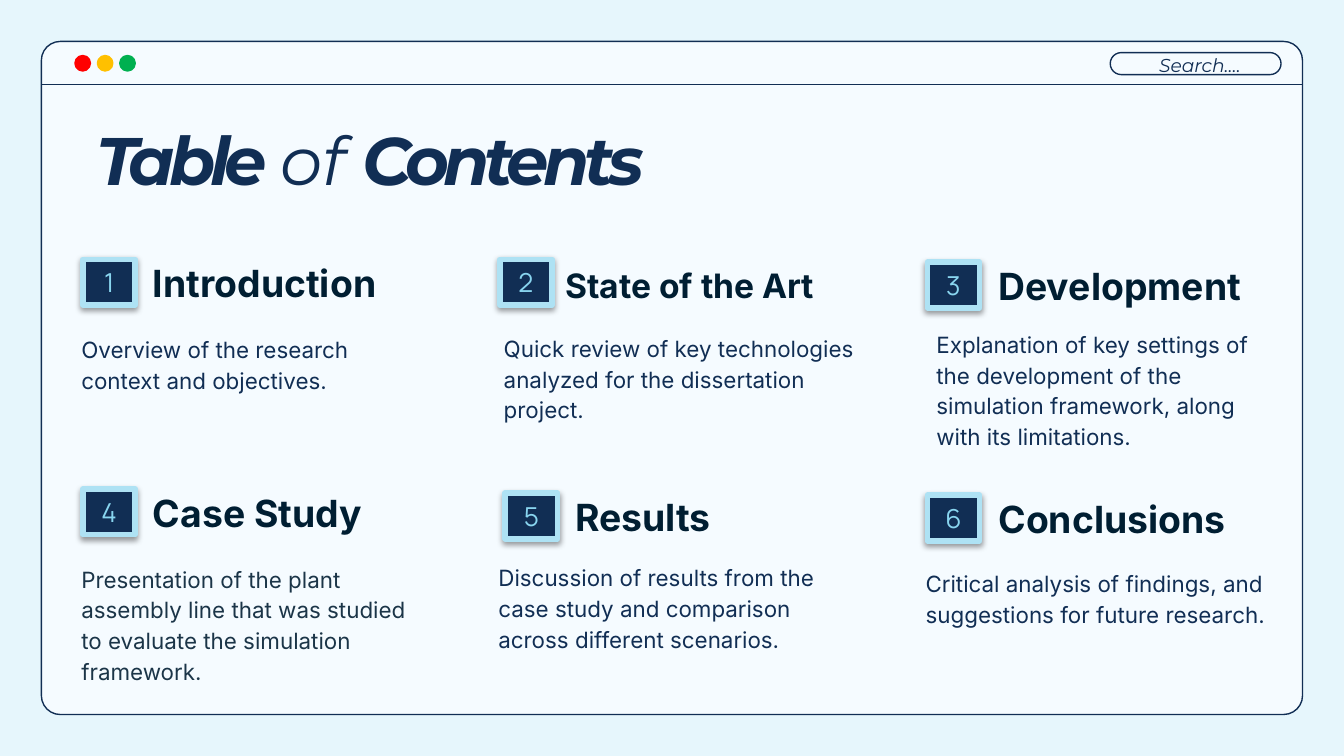
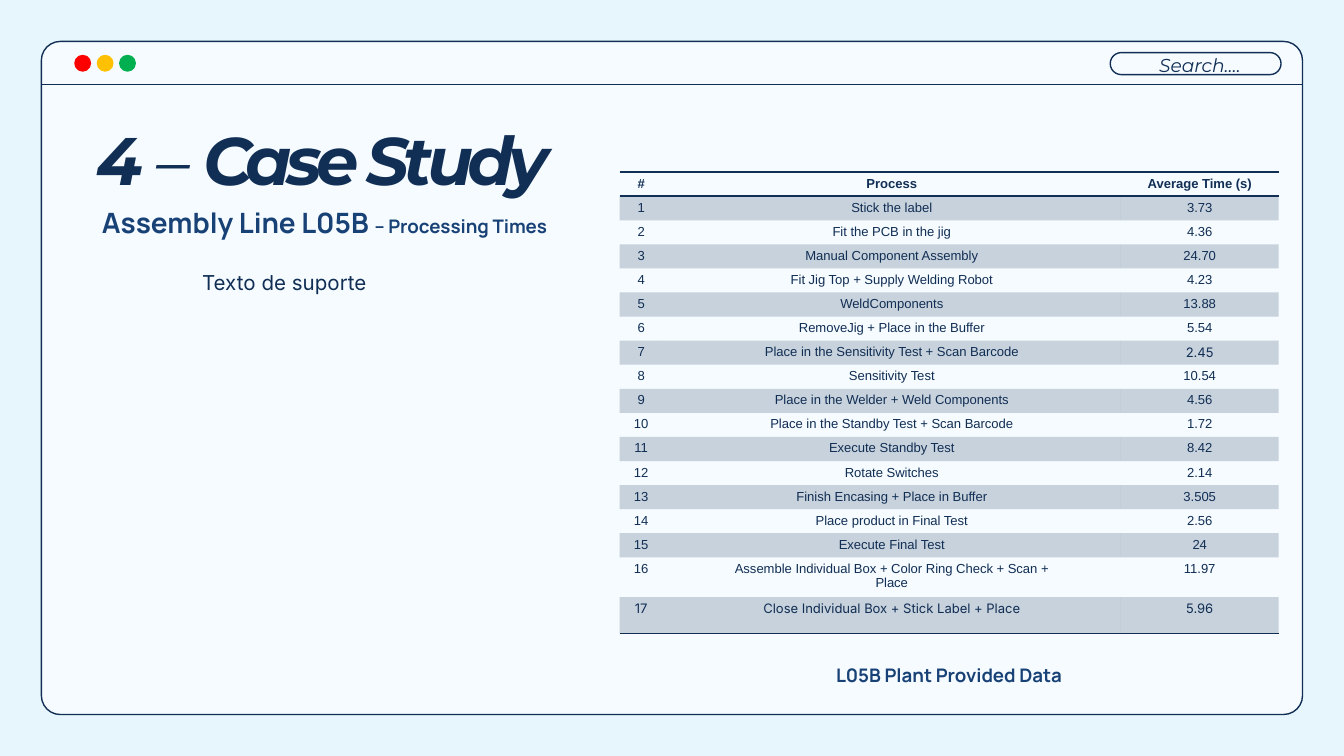
import pptx
import pptx.util
import pptx.dml.color
import pptx.enum.shapes
import pptx.enum.text
import pptx.oxml
import pptx.oxml.ns

Pt = pptx.util.Pt
Shape = pptx.enum.shapes.MSO_SHAPE
Align = pptx.enum.text.PP_ALIGN
Anchor = pptx.enum.text.MSO_ANCHOR
qn = pptx.oxml.ns.qn

NAVY, DEEP, BLUE, SLATE = "112E54", "001E32", "184176", "1B3548"
SKY, CYAN, PAPER, BACK = "AEE2F4", "89D5EF", "F5FBFF", "E6F6FC"
LIGHTS = ["FF0000", "FFC000", "00B050"]
PLAIN = "{2D5ABB26-0587-4C30-8999-92F81FD0307C}"

# number, heading, size, body, colour, tile (x, y), heading dx, body (dx, dy, width)
CARDS = [
    ("1", "Introduction", 20, "Overview of the research context and objectives.",
     NAVY, (44.5, 139), 30.3, (-8, 31.6, 202)),
    ("2", "State of the Art", 18,
     "Quick review of key technologies analyzed for the dissertation project.",
     NAVY, (267.8, 139), 28, (-5, 31, 202)),
    ("3", "Development", 20,
     "Explanation of key settings of the development of the simulation framework, "
     "along with its limitations.",
     NAVY, (496.8, 140.5), 31, (-2.2, 27.4, 197)),
    ("4", "Case Study", 20,
     "Presentation of the plant assembly line that was studied to evaluate the "
     "simulation framework.",
     SLATE, (44.5, 262), 30.3, (-8, 31.7, 202)),
    ("5", "Results", 20,
     "Discussion of results from the case study and comparison across different "
     "scenarios.",
     NAVY, (270.7, 264.2), 30.3, (-10.8, 28.8, 207)),
    ("6", "Conclusions", 20,
     "Critical analysis of findings, and suggestions for future research.",
     NAVY, (496.8, 265.3), 31, (-8, 30.6, 202)),
]

HEAD = ("#", "Process", "Average Time (s)")
STEPS = [
    ("Stick the label", "3.73"),
    ("Fit the PCB in the jig", "4.36"),
    ("Manual Component Assembly", "24.70"),
    ("Fit Jig Top + Supply Welding Robot", "4.23"),
    ("WeldComponents", "13.88"),
    ("RemoveJig + Place in the Buffer", "5.54"),
    ("Place in the Sensitivity Test + Scan Barcode", "2.45"),
    ("Sensitivity Test", "10.54"),
    ("Place in the Welder + Weld Components", "4.56"),
    ("Place in the Standby Test + Scan Barcode", "1.72"),
    ("Execute Standby Test", "8.42"),
    ("Rotate Switches", "2.14"),
    ("Finish Encasing + Place in Buffer", "3.505"),
    ("Place product in Final Test", "2.56"),
    ("Execute Final Test", "24"),
    ("Assemble Individual Box + Color Ring Check + Scan +\nPlace", "11.97"),
    ("Close Individual Box + Stick Label + Place", "5.96"),
]


def rgb(color):
    return pptx.dml.color.RGBColor.from_string(color)


def style(run, face, size, color, bold=False, slant=False, space=0):
    font = run.font
    font.name, font.size = face, Pt(size)
    font.bold, font.italic = bold, slant
    font.color.rgb = rgb(color)
    if space:
        run._r.get_or_add_rPr().set("spc", str(space * 100))


def label(slide, box, parts, align=Align.LEFT, anchor=Anchor.TOP, lead=None):
    """Add a text box; parts are (text, style arguments) pairs."""
    frame = slide.shapes.add_textbox(*map(Pt, box)).text_frame
    frame.word_wrap = True
    frame.vertical_anchor = anchor
    frame.margin_left = frame.margin_right = Pt(7.2)
    frame.margin_top = frame.margin_bottom = Pt(7.2)
    para = frame.paragraphs[0]
    para.alignment = align
    if lead:
        para.line_spacing = lead
    for text, look in parts:
        run = para.add_run()
        run.text = text
        style(run, *look)


def block(slide, kind, box, fill, line, width):
    shape = slide.shapes.add_shape(kind, *map(Pt, box))
    shape.shadow.inherit = False
    if fill:
        shape.fill.solid()
        shape.fill.fore_color.rgb = rgb(fill)
    else:
        shape.fill.background()
    shape.line.color.rgb = rgb(line)
    shape.line.width = Pt(width)
    return shape


def window(slide, box):
    """Draw the browser window with its lights and search field."""
    x, y, w, h = box
    slide.background.fill.solid()
    slide.background.fill.fore_color.rgb = rgb(BACK)
    pane = block(slide, Shape.ROUNDED_RECTANGLE, box, PAPER, NAVY, 0.75)
    pane.adjustments[0] = 0.028
    field = block(slide, Shape.ROUNDED_RECTANGLE,
                  (x + w - 103, y + 6, 91.5, 11.8), None, NAVY, 0.75)
    field.adjustments[0] = 0.5
    rule = slide.shapes.add_connector(
        pptx.enum.shapes.MSO_CONNECTOR.STRAIGHT,
        Pt(x), Pt(y + 23), Pt(x + w), Pt(y + 23))
    rule.line.color.rgb = rgb(NAVY)
    rule.line.width = Pt(0.75)
    rule._element.spPr.append(pptx.oxml.parse_xml(
        '<a:effectLst %s/>' % pptx.oxml.ns.nsdecls("a")))
    for i, color in enumerate(LIGHTS):
        block(slide, Shape.OVAL, (x + 18.6 + 12 * i, y + 8.2, 7, 7),
              color, color, 2)
    label(slide, (x + w - 97, y + 10.8, 84, 13.7),
          [("Search.…", ("Montserrat", 10, NAVY, False, True))],
          Align.CENTER, Anchor.BOTTOM)


def title(slide, parts):
    """Parts are (text, bold, letter spacing)."""
    label(slide, (44.6, 87.8, 618.5, 26),
          [(text, ("Montserrat", 36, NAVY, bold, True, space))
           for text, bold, space in parts], anchor=Anchor.BOTTOM)


def tile(slide, x, y, number):
    shape = block(slide, Shape.RECTANGLE, (x, y, 28, 24.5), NAVY, SKY, 3)
    glow = shape._element.spPr.find(qn("a:effectLst"))
    glow.append(pptx.oxml.parse_xml(
        '<a:outerShdw %s blurRad="%d" dist="%d" dir="5400000" rotWithShape="0">'
        '<a:srgbClr val="000000"><a:alpha val="38000"/></a:srgbClr></a:outerShdw>'
        % (pptx.oxml.ns.nsdecls("a"), Pt(3.1), Pt(1.6))))
    shape.text_frame.text = number
    para = shape.text_frame.paragraphs[0]
    para.alignment = Align.CENTER
    style(para.runs[0], "Manrope", 14, CYAN)


def card(slide, number, head, size, body, color, spot, shift, place):
    x, y = spot
    dx, dy, w = place
    label(slide, (x + shift, y, 164, 31.7),
          [(head, ("Inter", size, DEEP, True))], anchor=Anchor.BOTTOM, lead=1.15)
    label(slide, (x + dx, y + dy, w, 58),
          [(body, ("Inter", 12, color))], lead=1.15)
    tile(slide, x, y, number)


def edge(cell, side):
    cell._tc.get_or_add_tcPr().insert(0, pptx.oxml.parse_xml(
        '<a:%s %s w="12700"><a:solidFill><a:srgbClr val="%s"/></a:solidFill></a:%s>'
        % (side, pptx.oxml.ns.nsdecls("a"), NAVY, side)))


def shade(cell):
    cell.fill.solid()
    cell.fill.fore_color.rgb = rgb(NAVY)
    tone = cell._tc.tcPr.find(qn("a:solidFill"))[0]
    tone.append(pptx.oxml.parse_xml(
        '<a:alpha %s val="20000"/>' % pptx.oxml.ns.nsdecls("a")))


def times(slide, box):
    """Add the table of processing times."""
    rows = [HEAD] + [(str(i), *step) for i, step in enumerate(STEPS, 1)]
    last = len(rows) - 1
    table = slide.shapes.add_table(len(rows), 3, *map(Pt, box)).table
    table.first_row = table.horz_banding = False
    table._tbl.tblPr.find(qn("a:tableStyleId")).text = PLAIN
    for column, width in zip(table.columns, (23, 245.5, 84.5)):
        column.width = Pt(width)
    for r, row in enumerate(rows):
        table.rows[r].height = Pt(12.5 if r < last - 1 else 19.5)
        for c, text in enumerate(row):
            cell = table.cell(r, c)
            cell.margin_left = cell.margin_right = Pt(4.5)
            cell.margin_top = cell.margin_bottom = Pt(2.25)
            cell.text_frame.text = text
            face = "Inter" if r == last or text == "2.45" else "Arial"
            for para in cell.text_frame.paragraphs:
                para.alignment = Align.CENTER
                style(para.runs[0], face, 7, NAVY, r == 0)
            if r % 2:
                shade(cell)
            else:
                cell.fill.background()
            if r in (0, last):
                edge(cell, "lnB")
            if r == 0:
                edge(cell, "lnT")


def contents(slide):
    title(slide, [("Table ", True, -3), ("of ", False, 0), ("Contents", True, -3)])
    for item in CARDS:
        card(slide, *item)


def study(slide):
    title(slide, [("4 ", True, -3), ("–", False, -3), (" Case Study", True, -3)])
    label(slide, (47.5, 100, 275, 37.5),
          [("Assembly Line L05B ", ("Manrope", 15, BLUE, True)),
           ("– Processing Times", ("Manrope", 10, BLUE, True))], lead=1.15)
    times(slide, (332, 92.2, 353, 240))
    label(slide, (52.6, 138.2, 199.5, 216),
          [("Texto de suporte", ("Inter", 11, NAVY))], Align.CENTER)
    label(slide, (399.6, 347, 217.5, 37.5),
          [("L05B Plant Provided Data", ("Manrope", 10, BLUE, True))],
          Align.CENTER, lead=1.15)


def main():
    deck = pptx.Presentation()
    deck.slide_width, deck.slide_height = Pt(720), Pt(405)
    for fill in (contents, study):
        slide = deck.slides.add_slide(deck.slide_layouts[6])
        window(slide, (22.2, 22.2, 675.6, 360.6))
        fill(slide)
    deck.save("out.pptx")


if __name__ == "__main__":
    main()
